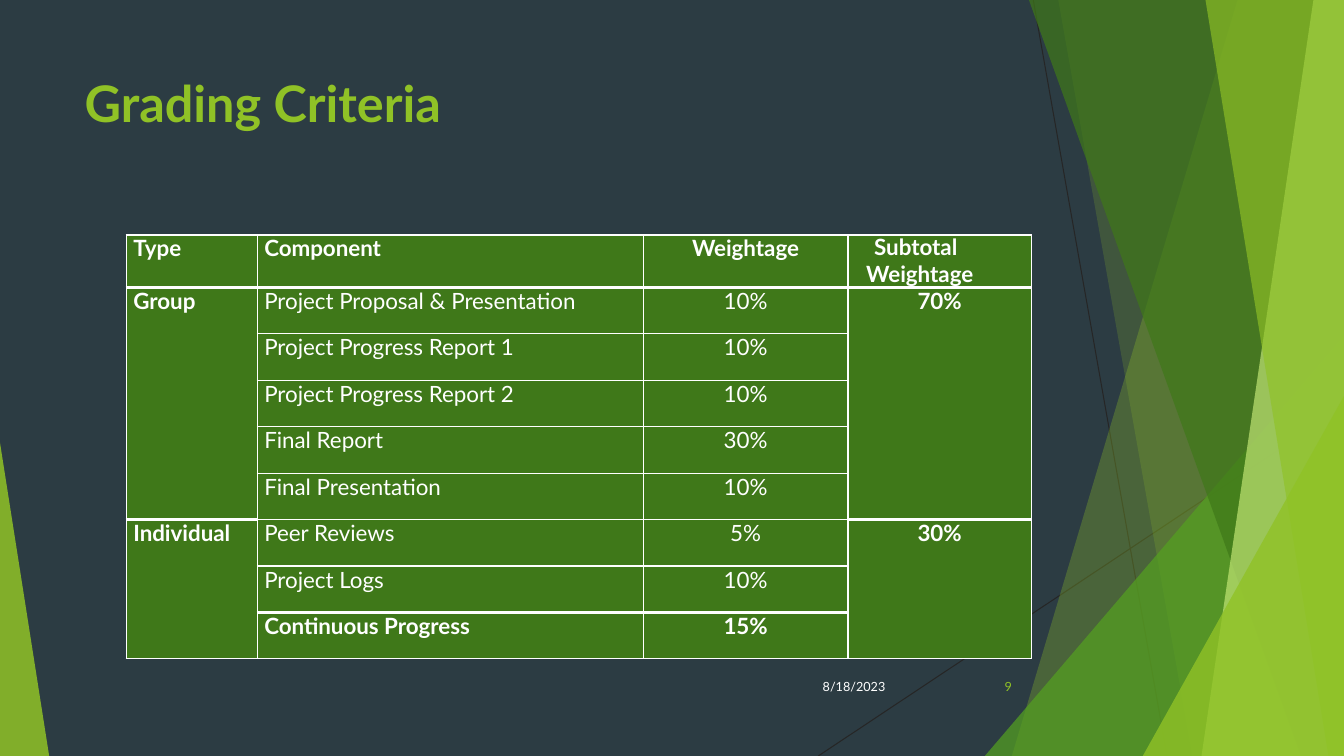
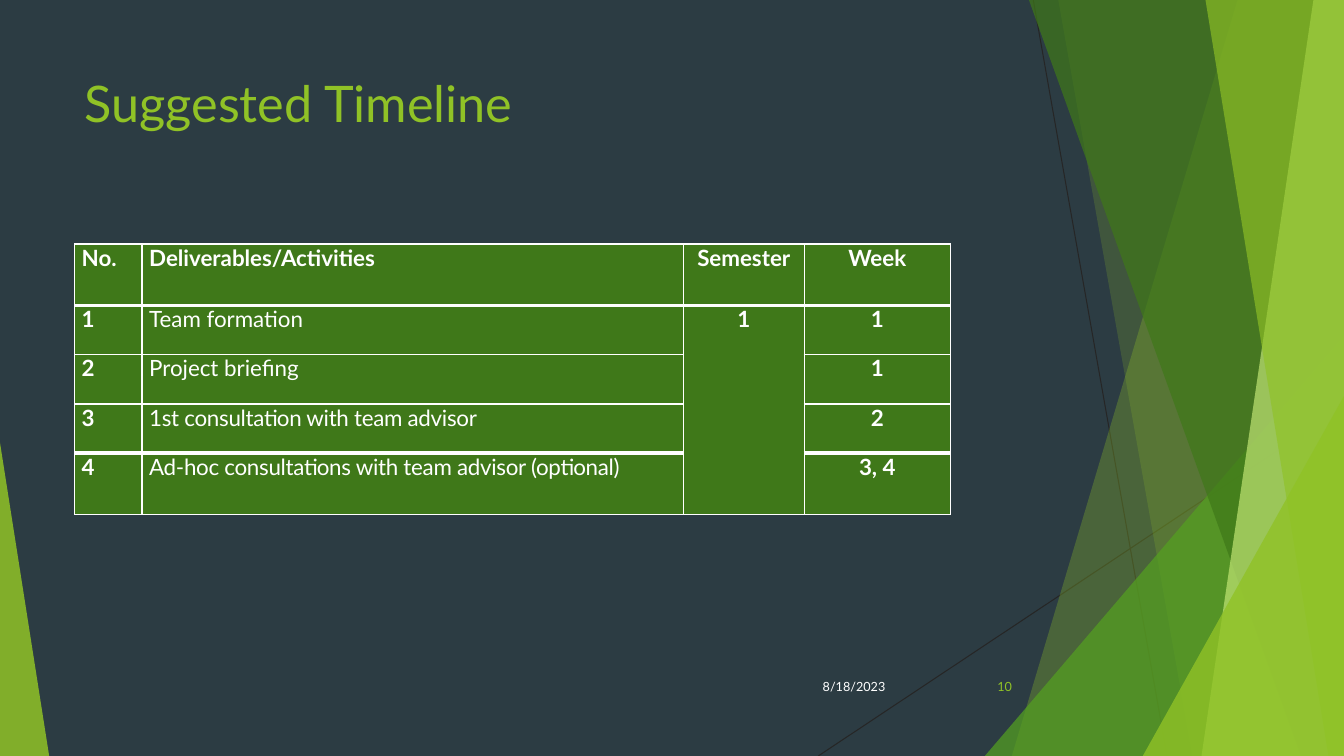
"""Build the grading and timeline slides of a course deck."""
from lxml.etree import SubElement as Sub
from pptx import Presentation
from pptx.dml.color import RGBColor as RGB
from pptx.enum.shapes import MSO_CONNECTOR as Link, MSO_SHAPE as Form
from pptx.enum.text import MSO_ANCHOR as Anchor, PP_ALIGN as Align
from pptx.oxml.ns import qn
from pptx.util import Cm, Pt

FONT = "Lato"
SLATE = RGB(0x2C, 0x3C, 0x43)
LIME = RGB(0x90, 0xC2, 0x26)
GREEN = RGB(0x54, 0xA0, 0x21)
DARK = RGB(0x3F, 0x78, 0x19)
PALE = RGB(0xC0, 0xE4, 0x74)
INK = RGB(0x26, 0x26, 0x26)
WHITE = RGB(0xFF, 0xFF, 0xFF)
WIDE, HIGH = 33.87, 19.05
LEFT, MID = Align.LEFT, Align.CENTER

LINES = [(26.04, 0, 29.41, HIGH), (WIDE, 10.24, 20.62, HIGH)]
# shapes: band = top x, foot x; peak = left, top, width, apex
DECOR = [
    ("band", (31.19, 25.5), LIME, 30),
    ("band", (26.67, 30.05), LIME, 20),
    ("peak", (24.82, 8.46, 9.05, 1), GREEN, 72),
    ("band", (25.93, 32.79), DARK, 70),
    ("band", (33.1, 30.28), PALE, 70),
    ("band", (30.38, 33.48), LIME, 65),
    ("peak", (28.8, 9.98, 5.07, 1), LIME, 80),
    ("peak", (0, 11.15, 1.24, 0), LIME, 85),
]
DATE = "8/18/2023"
PAGES = [
    {
        "title": "Grading Criteria", "bold": True, "number": "9",
        "at": (3.18, 5.92),
        "cols": [(3.3, LEFT), (9.73, LEFT), (5.16, MID), (4.62, MID)],
        "highs": [1.24] + [1.17] * 8,
        "rows": [
            ("Type", "Component", "Weightage", "Subtotal Weightage"),
            ("Group", "Project Proposal & Presentation", "10%", "70%"),
            ("", "Project Progress Report 1", "10%", ""),
            ("", "Project Progress Report 2", "10%", ""),
            ("", "Final Report", "30%", ""),
            ("", "Final Presentation", "10%", ""),
            ("Individual", "Peer Reviews", "5%", "30%"),
            ("", "Project Logs", "10%", ""),
            ("", "Continuous Progress", "15%", ""),
        ],
        "spans": [(1, 0, 5), (1, 3, 5), (6, 0, 8), (6, 3, 8)],
        "plain": [(r, c) for r in range(1, 8) for c in (1, 2)],
        "heavy": [(6, 0), (6, 3), (8, 1), (8, 2)],
        "hang": (0, 3), "tight": [],
    },
    {
        "title": "Suggested Timeline", "bold": False, "number": "10",
        "at": (1.88, 6.15),
        "cols": [(1.7, LEFT), (13.64, LEFT), (3.05, MID), (3.68, MID)],
        "highs": [1.55, 1.24, 1.24, 1.24, 1.55],
        "rows": [
            ("No.", "Deliverables/Activities", "Semester", "Week"),
            ("1", "Team formation", "1", "1"),
            ("2", "Project briefing", "", "1"),
            ("3", "1st consultation with team advisor", "", "2"),
            ("4", "Ad-hoc consultations with team advisor (optional)", "", "3, 4"),
        ],
        "spans": [(1, 2, 4)],
        "plain": [(r, 1) for r in range(1, 5)],
        "heavy": [(4, 0), (4, 1), (4, 3)],
        "hang": None, "tight": [(3, 1), (4, 1)],
    },
]


def style(para, size, color, bold=False, align=LEFT):
    """Set the font and alignment of one paragraph."""
    font = para.font
    font.name, font.size, font.bold = FONT, Pt(size), bold
    font.color.rgb = color
    para.alignment = align


def draw_decor(shapes, layout):
    """Draw the shared facets and store them on the layout."""
    for ends in LINES:
        line = shapes.add_connector(Link.STRAIGHT, *map(Cm, ends))
        line.line.color.rgb, line.line.width = INK, Pt(0.75)
        Sub(line.element.spPr, qn("a:effectLst"))
        layout.shapes.element.append(line.element)
    for kind, nums, color, alpha in DECOR:
        if kind == "band":
            top, foot = map(Cm, nums)
            path = shapes.build_freeform(top, 0)
            path.add_line_segments(
                [(Cm(WIDE), 0), (Cm(WIDE), Cm(HIGH)), (foot, Cm(HIGH))])
            facet = path.convert_to_shape()
        else:
            left, top, width, apex = nums
            facet = shapes.add_shape(
                Form.ISOSCELES_TRIANGLE, *map(Cm, (left, top, width, HIGH - top)))
            facet.adjustments[0] = apex
        facet.shadow.inherit = False
        facet.fill.solid()
        facet.fill.fore_color.rgb = color
        tint = facet.element.spPr.find(".//" + qn("a:srgbClr"))
        Sub(tint, qn("a:alpha"), val=str(alpha * 1000))
        facet.line.fill.background()
        layout.shapes.element.append(facet.element)


def set_edges(cell, top, foot):
    """Rule a cell in white with the given top and bottom weights."""
    props = cell._tc.get_or_add_tcPr()
    for tag, size in (("lnL", 1), ("lnR", 1), ("lnT", top), ("lnB", foot)):
        edge = Sub(props, qn("a:" + tag), w=str(Pt(size)))
        Sub(Sub(edge, qn("a:solidFill")), qn("a:srgbClr"), val=str(WHITE))


def fill_cell(cell, text, spot, page, heavy):
    """Write and format one table cell."""
    row, col = spot
    align = page["cols"][col][1]
    hang = spot == page["hang"]
    set_edges(cell, 3 if spot in heavy else 1, 3 if (row + 1, col) in heavy else 1)
    cell.fill.solid()
    cell.fill.fore_color.rgb = DARK
    cell.margin_top = cell.margin_right = cell.margin_bottom = 0
    cell.margin_left = Cm(0.46 if hang else 0.18 if align == LEFT else 0)
    if not text:
        return
    cell.text = text
    para = cell.text_frame.paragraphs[0]
    style(para, 16, WHITE, spot not in page["plain"], LEFT if hang else align)
    para.space_before = Pt(5)
    if hang:
        para.line_spacing = 0.98
        para._p.get_or_add_pPr().set("indent", str(Cm(0.2)))
    if spot in page["tight"]:
        para.runs[0]._r.get_or_add_rPr().set("spc", "-20")


def add_grid(slide, page):
    """Add the table of one page."""
    rows, cols, highs = page["rows"], page["cols"], page["highs"]
    size = sum(width for width, _ in cols), sum(highs)
    grid = slide.shapes.add_table(
        len(rows), len(cols), *map(Cm, page["at"] + size)).table
    grid.first_row = grid.horz_banding = False
    for col, (width, _) in zip(grid.columns, cols):
        col.width = Cm(width)
    for row, high in zip(grid.rows, highs):
        row.height = Cm(high)
    heavy = page["heavy"] + [(1, c) for c in range(len(cols))]
    for r, row in enumerate(rows):
        for c, text in enumerate(row):
            fill_cell(grid.cell(r, c), text, (r, c), page, heavy)
    for top, col, foot in page["spans"]:
        grid.cell(top, col).merge(grid.cell(foot, col))


def add_note(slide, text, left, width, color):
    """Add one small footer text."""
    frame = slide.shapes.add_textbox(*map(Cm, (left, 16.79, width, 1.02))).text_frame
    frame.word_wrap = True
    frame.vertical_anchor = Anchor.MIDDLE
    frame.text = text
    style(frame.paragraphs[0], 9, color, align=Align.RIGHT)


def set_layout(layout):
    """Set the background and title place that the slides share."""
    layout.background.fill.solid()
    layout.background.fill.fore_color.rgb = SLATE
    for holder in list(layout.placeholders)[1:]:
        layout.shapes.element.remove(holder.element)
    title = layout.placeholders[0]
    title.left, title.top, title.width, title.height = map(Cm, (1.88, 1.7, 23.88, 3.66))
    title.text_frame.vertical_anchor = Anchor.TOP


def main():
    """Build and save the deck."""
    deck = Presentation()
    deck.slide_width, deck.slide_height = Cm(WIDE), Cm(HIGH)
    layout = deck.slide_layouts[5]
    set_layout(layout)
    slides = [deck.slides.add_slide(layout) for _ in PAGES]
    draw_decor(slides[0].shapes, layout)
    for slide, page in zip(slides, PAGES):
        title = slide.shapes.title.text_frame
        title.text = page["title"]
        style(title.paragraphs[0], 36, LIME, page["bold"])
        add_grid(slide, page)
        add_note(slide, DATE, 20.02, 2.54, WHITE)
        add_note(slide, page["number"], 23.85, 1.9, LIME)
    deck.save("out.pptx")


if __name__ == "__main__":
    main()
